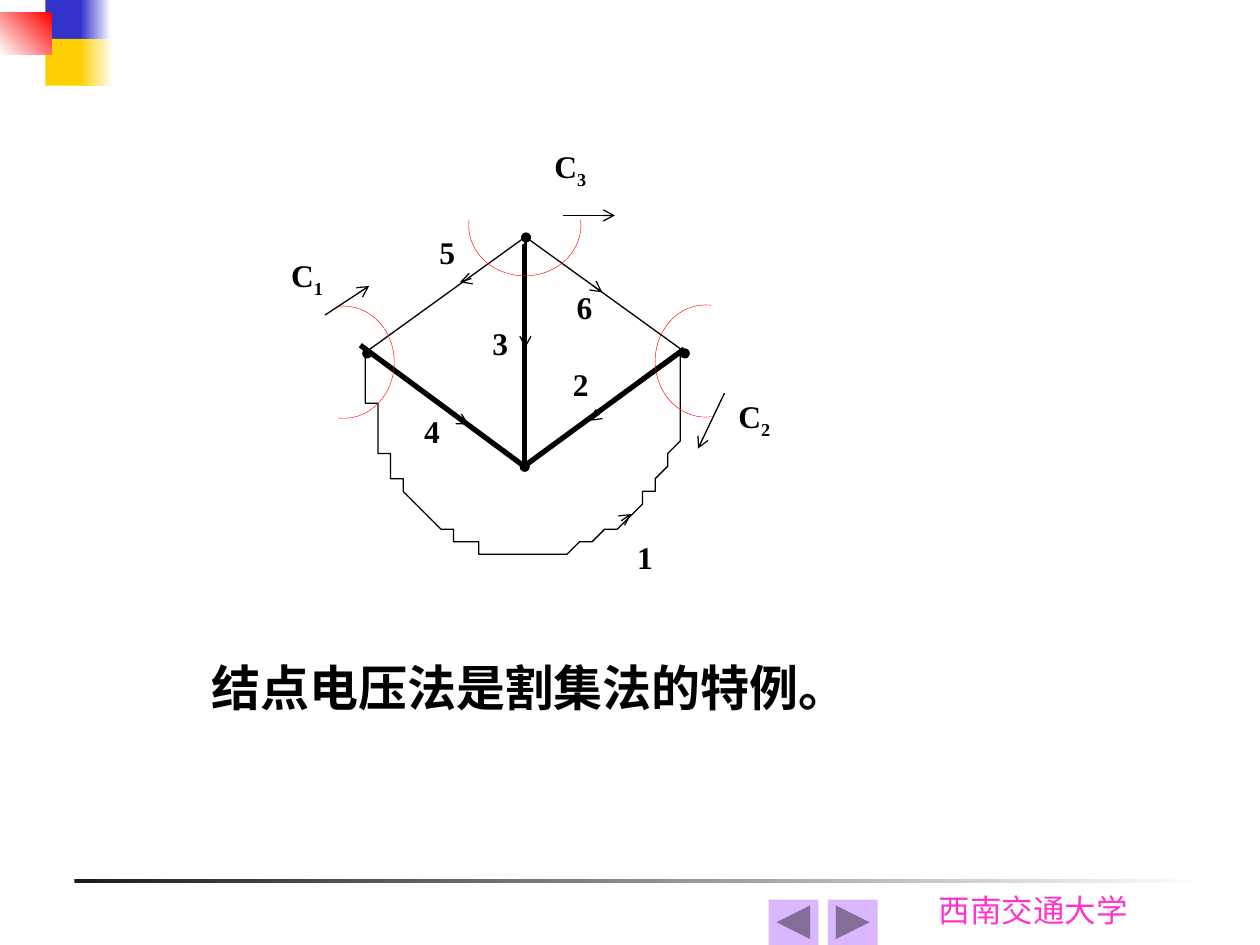
import dataclasses

import pptx
import pptx.dml.color
import pptx.enum.shapes
import pptx.enum.text
import pptx.oxml
import pptx.oxml.ns
import pptx.util
from lxml import etree

SHAPES = pptx.enum.shapes.MSO_SHAPE
ALIGN = pptx.enum.text.PP_ALIGN
COLUMNS, ROWS = 100, 75
CELL = pptx.util.Inches(0.1)


@dataclasses.dataclass(frozen=True)
class Theme:
    ink: str = "000000"
    cut: str = "FF0000"
    blue: str = "3333CC"
    yellow: str = "FFCF01"
    white: str = "FFFFFF"
    rule: str = "1C1C1C"
    footer: str = "FF33CC"
    button: str = "DBB7FF"
    label_font: str = "Times New Roman"
    caption_font: str = "Noto Sans CJK SC"
    footer_font: str = "Roboto"
    label_size: int = 18
    caption_size: int = 28
    thin: float = 0.75
    medium: float = 1.5
    thick: float = 3
    hair: float = 0.25


THEME = Theme()


def grid(value):
    return round(value * CELL)


def color(code):
    return pptx.dml.color.RGBColor.from_string(code)


def set_line(line, code, width):
    line.color.rgb = color(code)
    line.width = pptx.util.Pt(width)


def add_shape(slide, kind, box, fill=None, line=None, width=THEME.thin):
    shape = slide.shapes.add_shape(kind, *map(grid, box))
    shape.shadow.inherit = False
    if fill:
        shape.fill.solid()
        shape.fill.fore_color.rgb = color(fill)
    else:
        shape.fill.background()
    if line:
        set_line(shape.line, line, width)
    else:
        shape.line.fill.background()
    return shape


def add_gradient(slide, box, start, end, angle=0):
    shape = add_shape(slide, SHAPES.RECTANGLE, box)
    shape.fill.gradient()
    shape.fill.gradient_angle = angle
    for stop, code in zip(shape.fill.gradient_stops, (start, end)):
        stop.color.rgb = color(code)


def add_line(slide, start, end, width=THEME.thin, arrow=False):
    connector = slide.shapes.add_connector(
        pptx.enum.shapes.MSO_CONNECTOR.STRAIGHT, *map(grid, start + end))
    set_line(connector.line, THEME.ink, width)
    if arrow:
        tail = etree.SubElement(connector.line._get_or_add_ln(), pptx.oxml.ns.qn("a:tailEnd"))
        tail.set("type", "arrow")
    etree.SubElement(connector._element.spPr, pptx.oxml.ns.qn("a:effectLst"))


def add_text(slide, box, parts, font_name, size, code, bold=True,
             align=ALIGN.LEFT, insets=(0, 0)):
    text_box = slide.shapes.add_textbox(*map(grid, box))
    frame = text_box.text_frame
    frame.word_wrap = True
    frame.margin_left = frame.margin_right = grid(insets[0])
    frame.margin_top = frame.margin_bottom = grid(insets[1])
    paragraph = frame.paragraphs[0]
    paragraph.alignment = align
    font = paragraph.font
    font.name, font.size, font.bold = font_name, pptx.util.Pt(size), bold
    font.color.rgb = color(code)
    east_asian = etree.SubElement(font._element, pptx.oxml.ns.qn("a:ea"))
    east_asian.set("typeface", font_name)
    for index, part in enumerate(parts):
        run = paragraph.add_run()
        run.text = part
        if index:
            run._r.get_or_add_rPr().set("baseline", "-25000")


def add_cut_arc(slide, center, radii, facing, half_sweep=96):
    (x, y), (rx, ry) = center, radii
    arc = add_shape(slide, SHAPES.ARC, (x - rx, y - ry, 2 * rx, 2 * ry),
                    line=THEME.cut, width=THEME.hair)
    for index, angle in enumerate((facing - half_sweep, facing + half_sweep)):
        arc.adjustments[index] = angle % 360 * 0.6


def bezier(start, first, second, end, steps=16):
    for step in range(1, steps + 1):
        t = step / steps
        weights = ((1 - t) ** 3, 3 * t * (1 - t) ** 2, 3 * t * t * (1 - t), t ** 3)
        yield tuple(sum(weight * point[axis] for weight, point
                        in zip(weights, (start, first, second, end))) for axis in (0, 1))


def add_curve(slide, points):
    samples = []
    for index in range(0, len(points) - 1, 3):
        samples.extend(bezier(*points[index:index + 4]))
    builder = slide.shapes.build_freeform(*points[0], scale=CELL)
    builder.add_line_segments(samples, close=False)
    curve = builder.convert_to_shape()
    curve.shadow.inherit = False
    curve.fill.background()
    set_line(curve.line, THEME.ink, THEME.thin)


def add_decoration(slide):
    add_gradient(slide, (5.9, 69.8, 90, 0.3), THEME.rule, THEME.white)
    add_text(slide, (73.5, 70.2, 18.1, 4), ["西南交通大学"], THEME.footer_font,
             THEME.label_size, THEME.footer, bold=False, insets=(1, 0.5))
    for top, code, solid_width, fade_left, fade_width in (
            (0, THEME.blue, 3.2, 6.4, 2.4), (3.1, THEME.yellow, 3.1, 6.3, 2.7)):
        add_shape(slide, SHAPES.RECTANGLE, (3.6, top, solid_width, 3.7), code)
        add_gradient(slide, (fade_left, top, fade_width, 3.7), code, THEME.white)
    add_gradient(slide, (0, 1, 4.1, 3.3), THEME.white, THEME.cut, angle=45)


def add_graph(slide):
    add_shape(slide, SHAPES.DIAMOND, (29.1, 18.8, 25.2, 18.2), line=THEME.ink)
    add_line(slide, (41.7, 19.1), (41.7, 36.8), THEME.medium)
    add_curve(slide, [
        (29.3, 28.1), (29.4, 29.3), (29.3, 33.1), (30.2, 35.3), (31, 37.5),
        (32.3, 39.7), (34.3, 41.3), (36.2, 42.8), (39.4, 44.5), (41.9, 44.5),
        (44.5, 44.5), (47.7, 42.8), (49.6, 41.3), (51.5, 39.7), (52.7, 37.3),
        (53.5, 35.1), (54.3, 32.9), (54.2, 29.6), (54.4, 28.1)])
    for left, top in ((41.4, 18.5), (28.8, 27.7), (54, 27.7), (41.3, 36.7)):
        add_shape(slide, SHAPES.OVAL, (left, top, 0.7, 0.7), THEME.ink, THEME.ink)
    for start, end in (
            ((49.5, 41.2), (50.1, 40.8)), ((47.5, 32.9), (46.8, 33.4)),
            ((36.5, 33.3), (37.2, 33.7)), ((41.7, 26.4), (41.7, 27.6)),
            ((36.8, 22.3), (36.5, 22.4)), ((47.1, 22.7), (47.8, 23.2)),
            ((44.7, 17.1), (48.8, 17.1)), ((25.8, 25), (29.3, 22.7)),
            ((57.5, 31.2), (55.4, 35.6))):
        add_line(slide, start, end, arrow=True)
    for start in ((28.6, 27.4), (54.3, 27.7), (41.6, 19.4)):
        add_line(slide, start, (41.6, 37), THEME.thick)
    for center, radii, facing in (
            ((27.3, 28.75), (4, 4.45), 0), ((41.65, 17.9), (4.45, 4), 90),
            ((56, 28.65), (4, 4.45), 180)):
        add_cut_arc(slide, center, radii, facing)


def add_labels(slide):
    edges = ((48.4, 42.6), (43.3, 28.9), (36.9, 25.6), (31.5, 32.6), (32.7, 18.4), (43.6, 22.8))
    for number, position in enumerate(edges, 1):
        add_text(slide, (*position, 5.6, 4.7), [str(number)], THEME.label_font,
                 THEME.label_size, THEME.ink, align=ALIGN.CENTER, insets=(0.1, 0.1))
    for number, position in enumerate(((23.1, 20.3), (58.6, 31.5), (44, 11.7)), 1):
        add_text(slide, (*position, 4.9, 5.1), ["C", str(number)], THEME.label_font,
                 THEME.label_size, THEME.ink, align=ALIGN.JUSTIFY)


def main():
    presentation = pptx.Presentation()
    presentation.slide_width, presentation.slide_height = COLUMNS * CELL, ROWS * CELL
    slide = presentation.slides.add_slide(presentation.slide_layouts[6])
    add_decoration(slide)
    add_text(slide, (15.8, 51.7, 60.6, 5.7), ["结点电压法是割集法的特例。"],
             THEME.caption_font, THEME.caption_size, THEME.ink, insets=(1, 0.5))
    add_graph(slide)
    add_labels(slide)
    for left, kind in ((61, SHAPES.ACTION_BUTTON_BACK_OR_PREVIOUS),
                       (65.7, SHAPES.ACTION_BUTTON_FORWARD_OR_NEXT)):
        add_shape(slide, kind, (left, 71.4, 3.95, 3.6), THEME.button)
    presentation.save("out.pptx")


if __name__ == "__main__":
    main()
